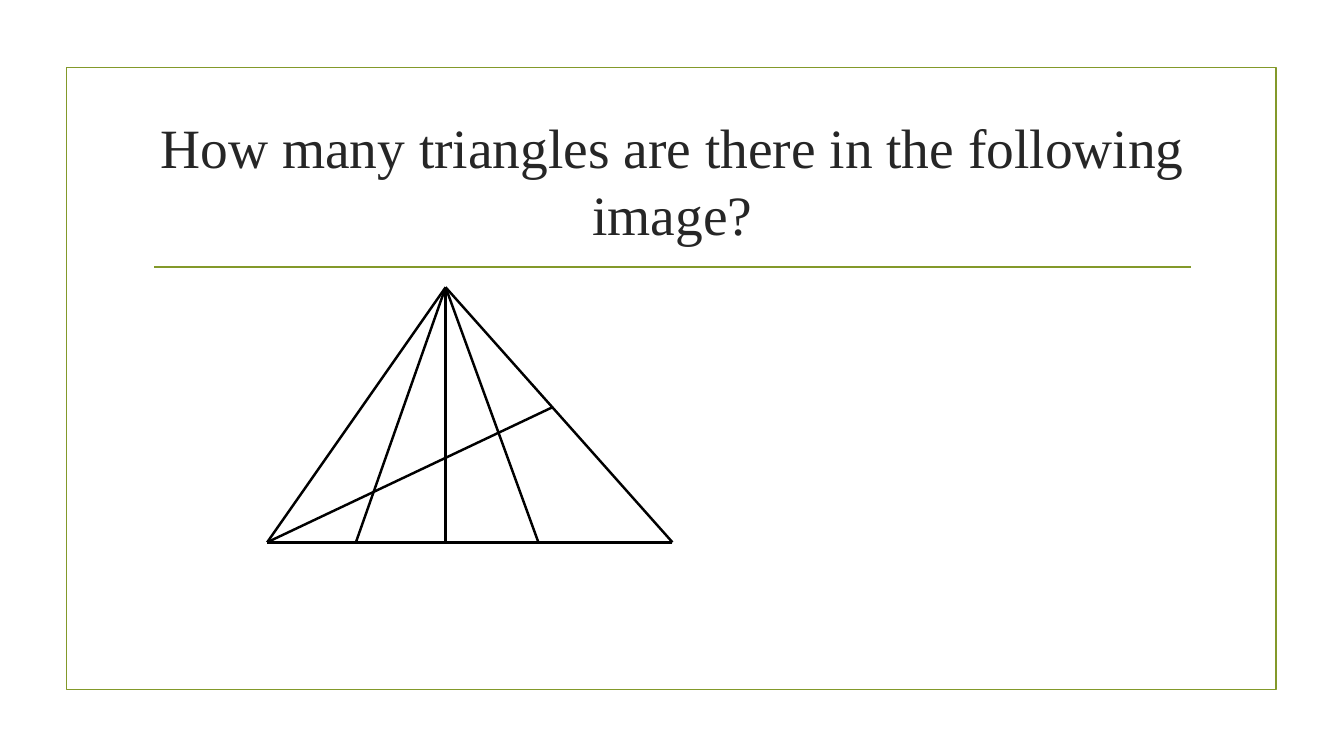
from lxml import etree
from pptx import Presentation
from pptx.dml.color import RGBColor
from pptx.enum.shapes import MSO_CONNECTOR, MSO_SHAPE
from pptx.enum.text import MSO_ANCHOR, PP_ALIGN
from pptx.oxml.ns import qn
from pptx.util import Inches, Pt

RECTANGLE = MSO_SHAPE.RECTANGLE
STRAIGHT = MSO_CONNECTOR.STRAIGHT
MIDDLE = MSO_ANCHOR.MIDDLE
CENTER = PP_ALIGN.CENTER

GREEN = "83992A"
BLACK = "000000"
DARK_GRAY = "262626"

APEX = (4.42, 2.85)
BASE_Y = 5.38
BASE_LEFT = (2.65, BASE_Y)
BASE_RIGHT = (6.67, BASE_Y)
RIGHT_SIDE_POINT = (5.48, 4.04)
BASE_POINTS_X = (2.65, 3.53, 4.42, 5.34, 6.67)


def color(hex_string):
    return RGBColor.from_string(hex_string)


def add_frame(slide, left, top, width, height):
    shape = slide.shapes.add_shape(
        RECTANGLE, Inches(left), Inches(top), Inches(width), Inches(height)
    )
    shape.shadow.inherit = False
    shape.fill.background()
    shape.line.color.rgb = color(GREEN)
    shape.line.width = Pt(1.25)


def add_line(slide, start, end, line_color, width):
    connector = slide.shapes.add_connector(
        STRAIGHT, *(Inches(value) for value in (*start, *end))
    )
    connector.line.color.rgb = color(line_color)
    connector.line.width = Pt(width)
    etree.SubElement(connector._element.spPr, qn("a:effectLst"))


def add_title(slide, text, left, top, width, height):
    box = slide.shapes.add_textbox(
        Inches(left), Inches(top), Inches(width), Inches(height)
    )
    text_frame = box.text_frame
    text_frame.word_wrap = True
    text_frame.vertical_anchor = MIDDLE
    text_frame.text = text
    paragraph = text_frame.paragraphs[0]
    paragraph.alignment = CENTER
    font = paragraph.runs[0].font
    font.name = "Times New Roman"
    font.size = Pt(39.6)
    font.color.rgb = color(DARK_GRAY)


def add_triangle_puzzle(slide):
    segments = [(APEX, (x, BASE_Y)) for x in BASE_POINTS_X]
    segments += [(BASE_RIGHT, BASE_LEFT), (BASE_LEFT, RIGHT_SIDE_POINT)]
    for start, end in segments:
        add_line(slide, start, end, BLACK, 1.75)


def main():
    presentation = Presentation()
    presentation.slide_width = Inches(13.33)
    presentation.slide_height = Inches(7.5)
    slide = presentation.slides.add_slide(presentation.slide_layouts[6])
    add_frame(slide, 0.66, 0.67, 12, 6.17)
    add_line(slide, (1.53, 2.65), (11.81, 2.65), GREEN, 1.25)
    add_title(
        slide,
        "How many triangles are there in the following image?",
        1.42, 1.07, 10.5, 1.43,
    )
    add_triangle_puzzle(slide)
    presentation.save("out.pptx")


if __name__ == "__main__":
    main()
